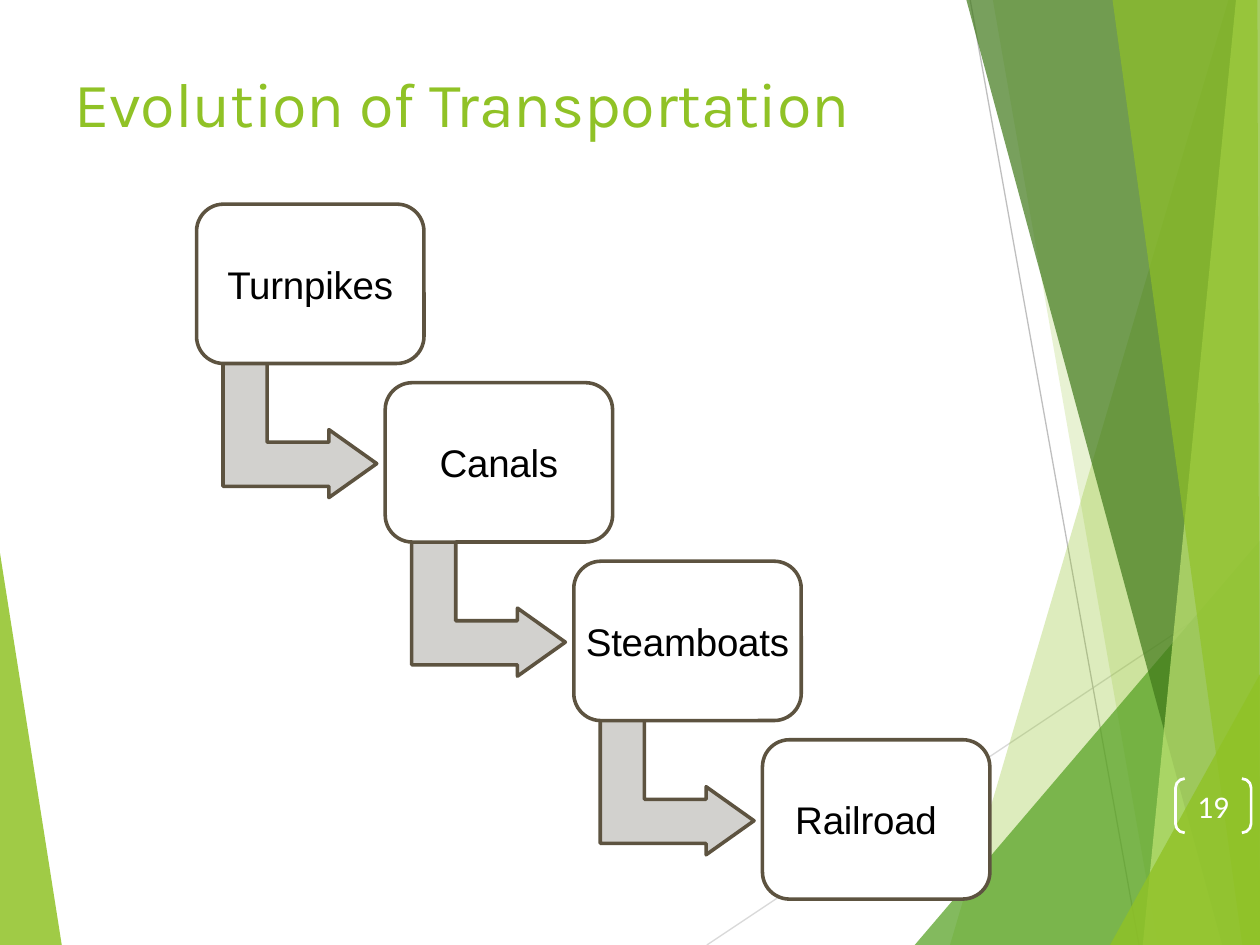
from dataclasses import dataclass

from lxml import etree
from pptx import Presentation, util as u
from pptx.dml.color import RGBColor
from pptx.enum import shapes, text
from pptx.oxml.ns import qn


@dataclass(frozen=True)
class Theme:
    lime: str = "90C226"
    green: str = "54A021"
    dark: str = "3F7819"
    pale: str = "C0E474"
    white: str = "FFFFFF"
    black: str = "000000"
    grey: str = "D2D1CE"
    brown: str = "5D5340"
    head: float = 36
    body: float = 22
    page: float = 18
    edge: float = 2.04


T = Theme()
WIDE, HIGH = u.Inches(10), u.Inches(7.5)
COLS, ROWS = 100, 75

FACETS = [
    (T.lime, 85, [(0, 43.9), (4.9, 75), (0, 75)]),
    (T.lime, 30, [(97.5, 0), (75.4, 75), (100, 75), (100, 0)]),
    (T.lime, 20, [(78.8, 0), (91.9, 75), (100, 75), (100, 0)]),
    (T.green, 72, [(72.6, 75), (100, 42.9), (100, 75)]),
    (T.dark, 70, [(76.7, 0), (97, 75), (100, 75), (100, 0)]),
    (T.pale, 70, [(98.1, 0), (90.7, 75), (100, 75), (100, 0)]),
    (T.lime, 65, [(88.3, 0), (98.6, 75), (100, 75), (99.8, 0)]),
    (T.lime, 80, [(88.1, 75), (100, 53.5), (100, 75)]),
]
RAYS = [("D9D9D9", (56.1, 75), (100.1, 45.7)),
        ("BFBFBF", (77, 0), (90.4, 75))]
STEPS = ["Turnpikes", "Canals", "Steamboats", "Railroad"]
START, PITCH, BOX = (15.6, 16.2), (14.97, 14.17), (18.05, 12.65)
ELBOW = [(2.1, 12.6), (2.1, 22.4), (10.5, 22.4), (10.5, 23.3), (14.3, 20.6),
         (10.5, 17.9), (10.5, 18.9), (5.6, 18.9), (5.6, 12.6)]


def col(n):
    return round(WIDE * n / COLS)


def row(n):
    return round(HIGH * n / ROWS)


def spot(pt):
    return col(pt[0]), row(pt[1])


def put(obj, **vals):
    for name, val in vals.items():
        setattr(obj, name, val)


def paint(shape, fill=None, edge=None, width=T.edge, alpha=100):
    shape.shadow.inherit = False
    if fill:
        shape.fill.solid()
        shape.fill.fore_color.rgb = RGBColor.from_string(fill)
        if alpha < 100:
            tint = shape.fill._xPr.find(qn("a:solidFill"))[0]
            etree.SubElement(tint, qn("a:alpha"), val=str(alpha * 1000))
    else:
        shape.fill.background()
    if edge:
        shape.line.color.rgb = RGBColor.from_string(edge)
        shape.line.width = u.Pt(width)
    else:
        shape.line.fill.background()


def write(shape, words, size, color, face, align, right=0, **frame):
    tf = shape.text_frame
    tf.text = words
    put(tf, margin_left=0, margin_top=0, margin_bottom=0,
        margin_right=col(right), auto_size=text.MSO_AUTO_SIZE.NONE, **frame)
    para = tf.paragraphs[0]
    para.alignment = align
    run = para.runs[0]
    put(run.font, size=u.Pt(size), name=face)
    run.font.color.rgb = RGBColor.from_string(color)
    run.font._element.set("spc", "-10")
    return para


def shard(slide, pts, **look):
    first, *rest = [spot(p) for p in pts]
    form = slide.shapes.build_freeform(*first)
    form.add_line_segments(rest, close=True)
    paint(form.convert_to_shape(), **look)


def ray(slide, color, a, b):
    line = slide.shapes.add_connector(
        shapes.MSO_CONNECTOR.STRAIGHT, *spot(a), *spot(b))
    line.line.color.rgb = RGBColor.from_string(color)
    line.line.width = u.Pt(0.75)
    etree.SubElement(line._element.spPr, qn("a:effectLst"))


def label(slide, kind, at, size, round_by, words, pts, color, face, look,
          right=0):
    shape = slide.shapes.add_shape(kind, *spot(at), *spot(size))
    shape.adjustments[0] = round_by
    paint(shape, **look)
    write(shape, words, pts, color, face, text.PP_ALIGN.CENTER, right,
          vertical_anchor=text.MSO_ANCHOR.MIDDLE, word_wrap=False)


def decor(slide):
    first, *rest = FACETS
    shard(slide, first[2], fill=first[0], alpha=first[1])
    for args in RAYS:
        ray(slide, *args)
    for color, alpha, pts in rest:
        shard(slide, pts, fill=color, alpha=alpha)


def title(slide):
    head = slide.shapes.title
    put(head, left=col(5.9), top=row(5.1), width=col(76.6), height=row(7.9))
    para = write(head, "Evolution of Transportation", T.head, T.lime, "Karla",
                 text.PP_ALIGN.LEFT, vertical_anchor=text.MSO_ANCHOR.TOP,
                 word_wrap=True)
    para.space_before = u.Pt(0.9)


def stairs(slide):
    last = len(STEPS) - 1
    for i, name in enumerate(STEPS):
        x, y = (s + i * p for s, p in zip(START, PITCH))
        if i < last:
            shard(slide, [(x + dx, y + dy) for dx, dy in ELBOW],
                  fill=T.grey, edge=T.brown)
        label(slide, shapes.MSO_SHAPE.ROUNDED_RECTANGLE, (x, y), BOX, 0.17,
              name, T.body, T.black, "Arial",
              {"fill": T.white, "edge": T.brown},
              right=1.6 if i == last else 0)


def main():
    prs = Presentation()
    put(prs, slide_width=WIDE, slide_height=HIGH)
    slide = prs.slides.add_slide(prs.slide_layouts[5])
    decor(slide)
    label(slide, shapes.MSO_SHAPE.DOUBLE_BRACKET, (93.3, 61.8), (6, 4.3), 0.17,
          "19", T.page, T.white, "Calibri", {"edge": T.white, "width": 1.56})
    title(slide)
    stairs(slide)
    prs.save("out.pptx")


if __name__ == "__main__":
    main()
